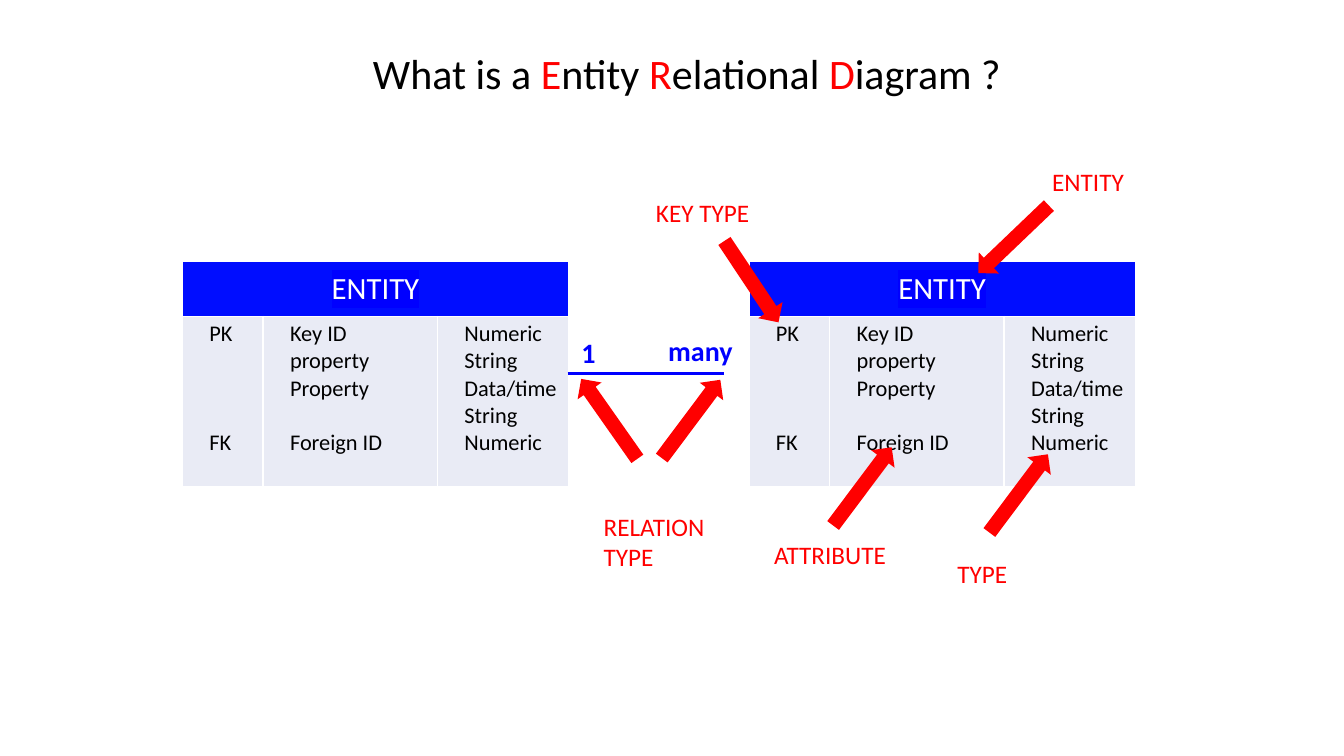
from lxml import etree
from pptx import Presentation
from pptx.dml.color import RGBColor
from pptx.enum.shapes import MSO_CONNECTOR, MSO_SHAPE
from pptx.enum.text import MSO_ANCHOR, PP_ALIGN
from pptx.oxml import parse_xml
from pptx.oxml.ns import nsdecls, qn
from pptx.util import Pt

# Content: lengths in points
COLORS = {"red": "FF0000", "blue": "0000FF", "header": "000DFF",
          "body": "E9EBF5", "black": "000000", "white": "FFFFFF"}
FONT = "Calibri"
TITLE = [("What is a ", "black"), ("E", "red"), ("ntity ", "black"), ("R", "red"),
         ("elational ", "black"), ("D", "red"), ("iagram ?", "black")]

HEADER = "ENTITY"
# Each column lists (text, row it stands on)
COLUMNS = [
    [("PK", 0), ("FK", 4)],
    [("Key ID", 0), ("property", 1), ("Property", 2), ("Foreign ID", 4)],
    [("Numeric", 0), ("String", 1), ("Data/time", 2), ("String", 3), ("Numeric", 4)],
]
COLUMN_WIDTHS = [57.6, 124.6, 93.6]
ROW_HEIGHTS = [39.6, 121.4]
TABLE_TOP = 186.5
TABLE_LEFTS = [130.3, 535]
LINE_HEIGHT = 19.53  # one line of 16 pt text

# text, left, top, width, height
CARDINALITIES = [("many", 470.2, 234.7, 64.8, 31.5), ("1", 408.2, 236.2, 30.2, 31.5)]
LABELS = [
    ("ENTITY", 744.5, 115.2, 66.2, 29),
    ("ATTRIBUTE", 545.8, 381.6, 95, 29),
    ("TYPE", 676.8, 395.3, 50.4, 29),
    ("KEY TYPE", 461.5, 137.5, 81.4, 29),
    ("RELATION\nTYPE", 424.1, 361.4, 91.4, 51),
]

# centre x, centre y, rotation
ARROW_SIZE = (20.9, 69.8)
ARROWS = [(724, 171, 46.3), (536.8, 201.2, 326.4), (616, 347.4, 216.8),
          (727.6, 352.4, 216.8), (493.6, 299.2, 216.8), (435.2, 299.2, 144.9)]


def color(name):
    return RGBColor.from_string(COLORS[name])


def style(font, size, color_name, bold=False):
    font.name, font.size, font.bold = FONT, Pt(size), bold
    font.color.rgb = color(color_name)


def fill_cell(cell, color_name, inset):
    cell.fill.solid()
    cell.fill.fore_color.rgb = color(color_name)
    cell.margin_left, cell.margin_right = Pt(inset), Pt(5)
    cell.margin_top = cell.margin_bottom = Pt(2.5)


def add_entity(slide, left):
    table = slide.shapes.add_table(2, len(COLUMNS), Pt(left), Pt(TABLE_TOP),
                                   Pt(sum(COLUMN_WIDTHS)), Pt(sum(ROW_HEIGHTS))).table
    table.horz_banding = False
    for column, width in zip(table.columns, COLUMN_WIDTHS):
        column.width = Pt(width)
    for row, height in zip(table.rows, ROW_HEIGHTS):
        row.height = Pt(height)

    # Header across all columns, with highlighted text
    header = table.cell(0, 0)
    header.merge(table.cell(0, len(COLUMNS) - 1))
    fill_cell(header, "header", 5)
    header.vertical_anchor = MSO_ANCHOR.MIDDLE
    paragraph = header.text_frame.paragraphs[0]
    paragraph.alignment = PP_ALIGN.CENTER
    run = paragraph.add_run()
    run.text = HEADER
    style(run.font, 22, "white")
    highlight = parse_xml(f'<a:highlight {nsdecls("a")}>'
                          f'<a:srgbClr val="{COLORS["blue"]}"/></a:highlight>')
    run.font.fill._xPr.find(qn("a:latin")).addprevious(highlight)

    # Keys, attributes and types
    for index, entries in enumerate(COLUMNS):
        cell = table.cell(1, index)
        fill_cell(cell, "body", 19.3)
        frame = cell.text_frame
        frame.text = "\n".join(text for text, _ in entries)
        previous = -1
        for paragraph, (_, line) in zip(frame.paragraphs, entries):
            style(paragraph.font, 16, "black")
            skipped = line - previous - 1
            if skipped:
                paragraph.space_before = Pt(round(skipped * LINE_HEIGHT, 1))
            previous = line


def add_label(slide, label, size, color_name, bold=False, wrap=False):
    text, *box = label
    frame = slide.shapes.add_textbox(*map(Pt, box)).text_frame
    frame.word_wrap = wrap
    frame.text = text
    for paragraph in frame.paragraphs:
        style(paragraph.font, size, color_name, bold)


def add_arrow(slide, center_x, center_y, rotation):
    width, height = ARROW_SIZE
    arrow = slide.shapes.add_shape(MSO_SHAPE.DOWN_ARROW, Pt(center_x - width / 2),
                                   Pt(center_y - height / 2), Pt(width), Pt(height))
    arrow.rotation = rotation
    arrow.shadow.inherit = False
    arrow.fill.solid()
    arrow.fill.fore_color.rgb = color("red")
    arrow.line.fill.background()


def main():
    presentation = Presentation()
    presentation.slide_width, presentation.slide_height = Pt(960), Pt(540)
    slide = presentation.slides.add_slide(presentation.slide_layouts[5])

    # Title
    title = slide.shapes.title
    title.left, title.top, title.width, title.height = map(Pt, (257, 30.2, 467.3, 43.9))
    title.text_frame.word_wrap = False
    paragraph = title.text_frame.paragraphs[0]
    paragraph.font.name, paragraph.font.size = FONT, Pt(30)
    for text, color_name in TITLE:
        run = paragraph.add_run()
        run.text = text
        run.font.color.rgb = color(color_name)

    # Entities and the relation between them
    for left in TABLE_LEFTS:
        add_entity(slide, left)
    relation = slide.shapes.add_connector(MSO_CONNECTOR.STRAIGHT, Pt(405.4), Pt(267.1),
                                          Pt(517), Pt(267.1))
    relation.line.color.rgb = color("blue")
    relation.line.width = Pt(2.25)
    etree.SubElement(relation._element.spPr, qn("a:effectLst"))
    for label in CARDINALITIES:
        add_label(slide, label, 20, "blue", bold=True, wrap=True)

    # Red arrows and labels
    for arrow in ARROWS:
        add_arrow(slide, *arrow)
    for label in LABELS:
        add_label(slide, label, 18, "red")

    presentation.save("out.pptx")


if __name__ == "__main__":
    main()
